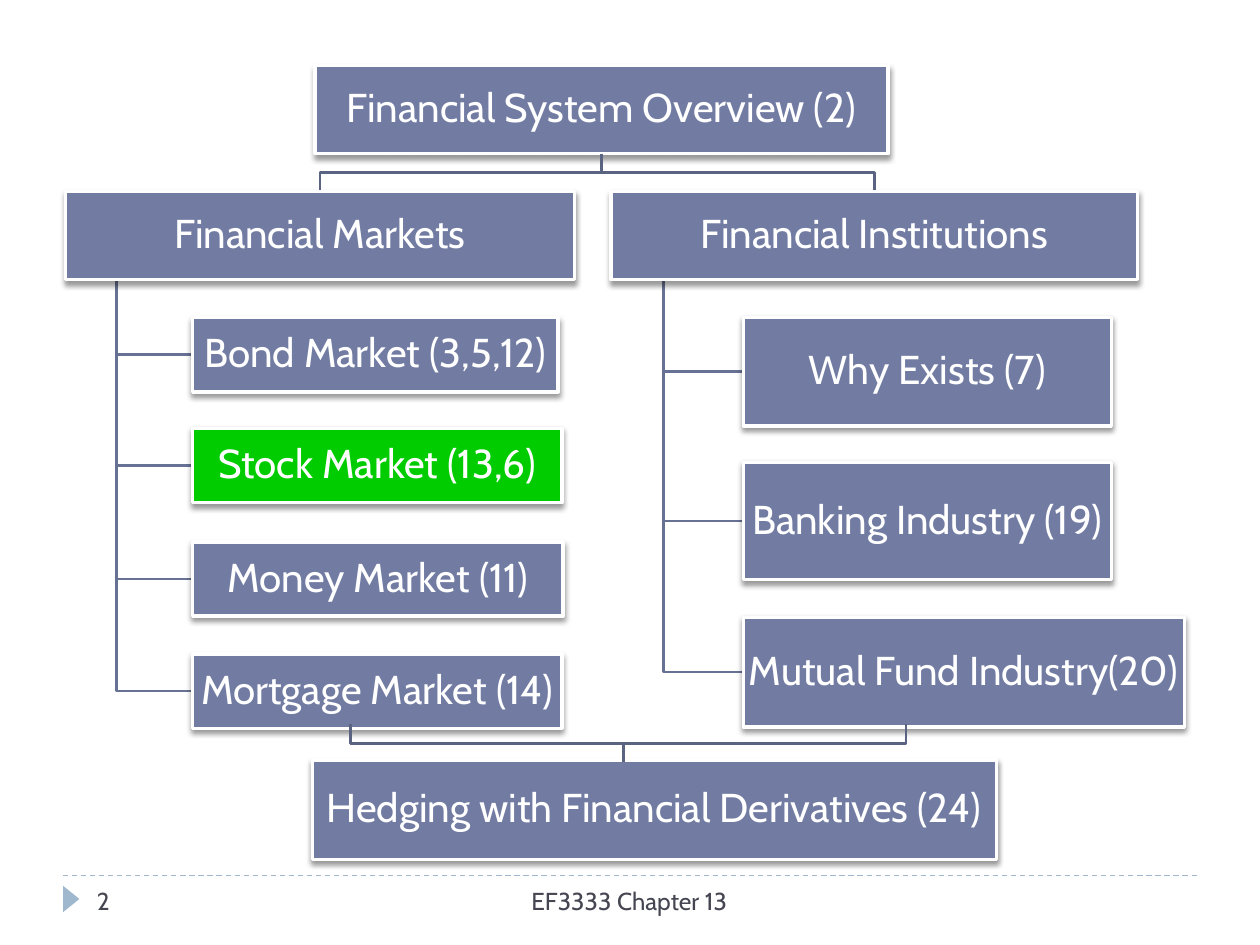
"""Build the financial system overview chart slide."""
import pptx
import pptx.util
import pptx.dml.color
import pptx.enum.dml
import pptx.enum.shapes
import pptx.enum.text
import pptx.oxml
import pptx.oxml.ns

Inches = pptx.util.Inches
Pt = pptx.util.Pt
Align = pptx.enum.text.PP_ALIGN
Anchor = pptx.enum.text.MSO_ANCHOR
Shape = pptx.enum.shapes.MSO_SHAPE

COLORS = {"box": "727CA3", "mark": "00CC00", "edge": "FFFFFF", "text": "FFFFFF",
          "trunk": "5B6383", "twig": "677194", "rule": "9FB8CD", "foot": "464653"}
ROOT = ("Financial System Overview (2)", (2.5, 0.52, 4.55, 0.7))
GROUPS = [
    ("Financial Markets", (0.52, 1.52, 4.04, 0.7), [
        ("Bond Market (3,5,12)", (1.53, 2.52, 2.9, 0.59), "box"),
        ("Stock Market (13,6)", (1.53, 3.4, 2.93, 0.59), "mark"),
        ("Money Market (11)", (1.53, 4.3, 2.94, 0.59), "box"),
        ("Mortgage Market (14)", (1.53, 5.19, 2.93, 0.59), "box")]),
    ("Financial Institutions", (4.85, 1.52, 4.18, 0.7), [
        ("Why Exists (7)", (5.9, 2.52, 2.92, 0.86), "box"),
        ("Banking Industry (19)", (5.9, 3.67, 2.92, 0.93), "box"),
        ("Mutual Fund Industry(20)", (5.9, 4.9, 3.5, 0.87), "box")]),
]
HEDGE = ("Hedging with Financial Derivatives (24)", (2.48, 6.03, 5.43, 0.79))
JOIN = {"x": 4.95, "ends": (2.78, 7.19), "top": 5.75, "base": 6.05}
FOOT = [("EF3333 Chapter 13", (3.17, 6.98, 2.7, 0.4), Align.RIGHT),
        ("2", (0.67, 6.98, 2.17, 0.4), Align.LEFT)]

PAD = Inches(0.02)
FRAME = {"word_wrap": True, "auto_size": pptx.enum.text.MSO_AUTO_SIZE.NONE,
         "vertical_anchor": Anchor.MIDDLE, "margin_left": PAD, "margin_right": PAD,
         "margin_top": PAD, "margin_bottom": PAD}
PARA = {"alignment": Align.CENTER, "line_spacing": 0.9, "space_after": Pt(8)}
FONT = {"name": "Cabin", "size": Pt(23), "bold": False}
SMALL = {"name": "Cabin", "size": Pt(14)}
SHADOW = (f'<a:effectLst {pptx.oxml.ns.nsdecls("a")}>'
          '<a:outerShdw blurRad="38100" dist="25400" dir="5400000" rotWithShape="0">'
          '<a:srgbClr val="000000"><a:alpha val="40000"/></a:srgbClr>'
          '</a:outerShdw></a:effectLst>')
NONE = f'<a:effectLst {pptx.oxml.ns.nsdecls("a")}/>'


def rgb(key):
    """Return the named colour."""
    return pptx.dml.color.RGBColor.from_string(COLORS[key])


def apply(item, values):
    """Set each value on the item."""
    for name, value in values.items():
        setattr(item, name, value)


def place(shape, rect):
    """Move and size a shape in inches."""
    apply(shape, dict(zip(("left", "top", "width", "height"), map(Inches, rect))))


def paint(shape, key):
    """Fill a shape with one colour."""
    shape.fill.solid()
    shape.fill.fore_color.rgb = rgb(key)


def stroke(shape, key, width):
    """Set the colour and width of an outline."""
    shape.line.color.rgb = rgb(key)
    shape.line.width = Pt(width)


def effect(shape, xml):
    """Add an effect list to a shape."""
    shape._element.spPr.append(pptx.oxml.parse_xml(xml))


def write(shape, text, font, key):
    """Put one paragraph in a shape and return it."""
    para = shape.text_frame.paragraphs[0]
    para.text = text
    apply(para.font, font)
    para.font.color.rgb = rgb(key)
    return para


def style(shape, text, rect, key="box"):
    """Format a shape as a chart box."""
    place(shape, rect)
    paint(shape, key)
    stroke(shape, "edge", 2)
    effect(shape, SHADOW)
    apply(shape.text_frame, FRAME)
    apply(write(shape, text, FONT, "text"), PARA)


def box(shapes, text, rect, key="box"):
    """Add a chart box."""
    style(shapes.add_shape(Shape.RECTANGLE, 0, 0, 0, 0), text, rect, key)


def bend(shapes, points, key):
    """Draw an open line through the points."""
    spots = [(Inches(x), Inches(y)) for x, y in points]
    pen = shapes.build_freeform(*spots[0])
    pen.add_line_segments(spots[1:], close=False)
    line = pen.convert_to_shape()
    line.shadow.inherit = False
    line.fill.background()
    stroke(line, key, 1.5)


def fork(shapes, start, end):
    """Draw a line that turns halfway down."""
    mid = (start[1] + end[1]) / 2
    bend(shapes, [start, (start[0], mid), (end[0], mid), end], "trunk")


def tree(shapes):
    """Draw the lines, then the boxes below the root."""
    x, y, w, h = ROOT[1]
    for _, (left, top, wide, high), kids in GROUPS:
        fork(shapes, (x + w / 2, y + h), (left + wide / 2, top))
        stem = left + wide / 10
        for _, kid, _ in kids:
            mid = kid[1] + kid[3] / 2
            bend(shapes, [(stem, top + high), (stem, mid), (kid[0], mid)], "twig")
    for text, rect, kids in GROUPS:
        box(shapes, text, rect)
        for kid in kids:
            box(shapes, *kid)
    box(shapes, *HEDGE)
    for end in JOIN["ends"]:
        fork(shapes, (JOIN["x"], JOIN["base"]), (end, JOIN["top"]))


def footer(shapes):
    """Add the rule, the marker and the footer text."""
    rule = shapes.add_connector(pptx.enum.shapes.MSO_CONNECTOR.STRAIGHT,
                                Inches(0.5), Inches(6.95), Inches(9.5), Inches(6.95))
    stroke(rule, "rule", 0.75)
    rule.line.dash_style = pptx.enum.dml.MSO_LINE.DASH
    effect(rule, NONE)
    mark = shapes.add_shape(Shape.ISOSCELES_TRIANGLE, 0, 0, 0, 0)
    place(mark, (0.46, 7.07, 0.21, 0.13))
    mark.rotation = 90
    mark.shadow.inherit = False
    paint(mark, "rule")
    mark.line.fill.background()
    for text, rect, align in FOOT:
        note = shapes.add_textbox(*map(Inches, rect))
        note.text_frame.word_wrap = True
        write(note, text, SMALL, "foot").alignment = align


def main():
    """Build and save the slide."""
    deck = pptx.Presentation()
    apply(deck, {"slide_width": Inches(10), "slide_height": Inches(7.5)})
    shapes = deck.slides.add_slide(deck.slide_layouts[5]).shapes
    style(shapes.title, *ROOT)
    tree(shapes)
    footer(shapes)
    deck.save("out.pptx")


if __name__ == "__main__":
    main()
